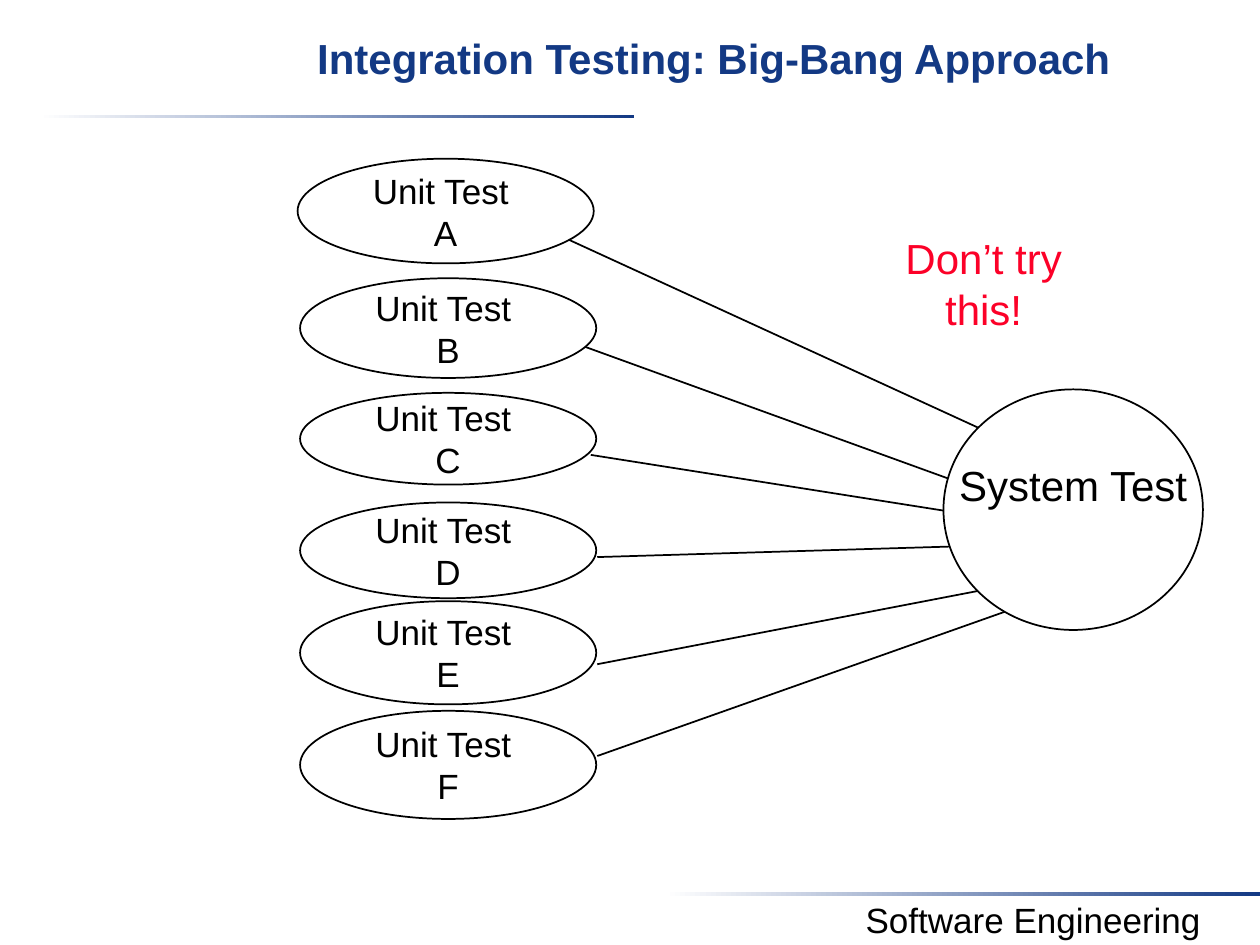
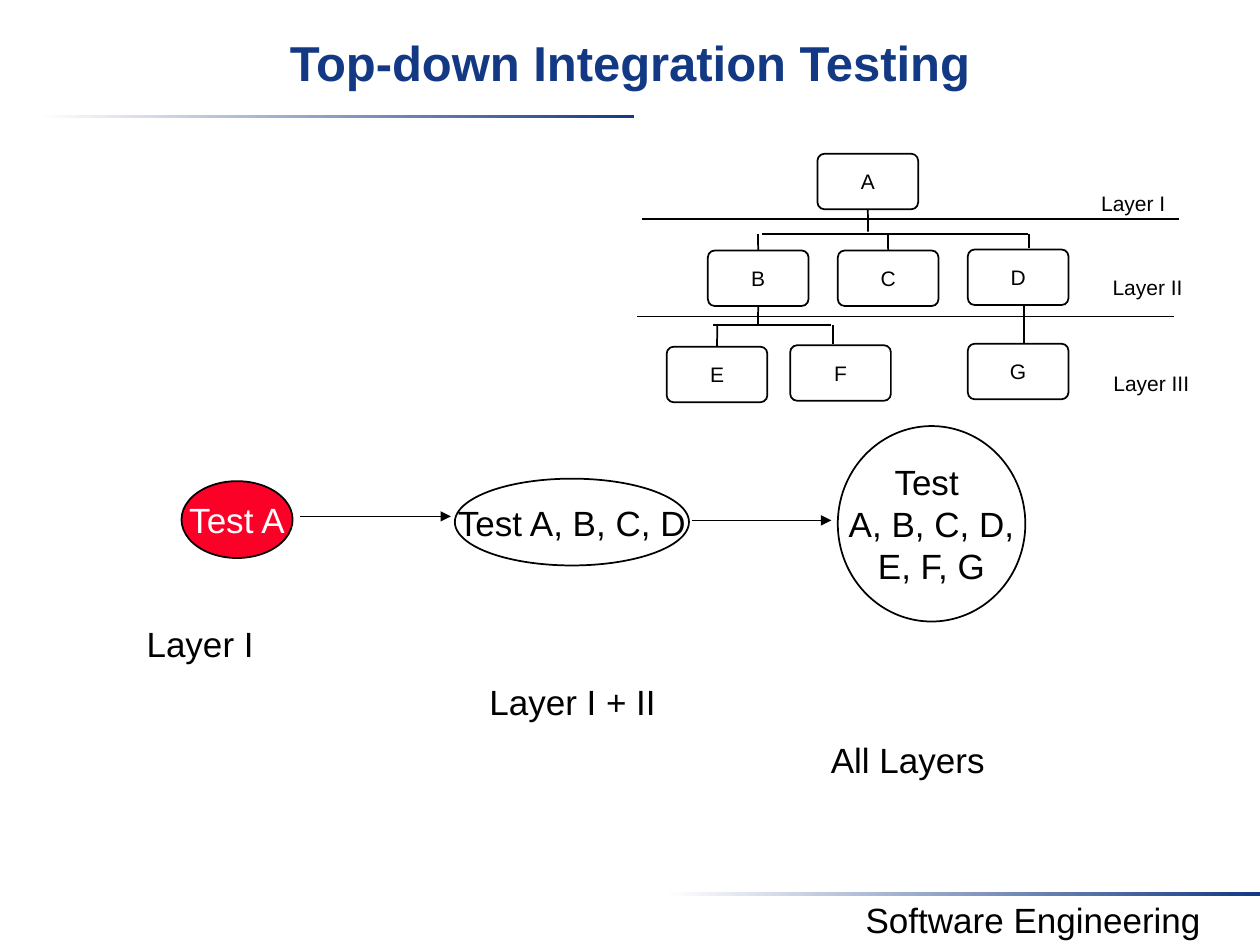
from lxml import etree
from pptx import Presentation
from pptx.dml.color import RGBColor
from pptx.enum.shapes import MSO_CONNECTOR, MSO_SHAPE
from pptx.enum.text import MSO_ANCHOR, PP_ALIGN
from pptx.oxml.ns import qn
from pptx.util import Cm, Pt

NAVY = RGBColor(0x13, 0x39, 0x84)
RED = RGBColor(0xFC, 0x01, 0x28)
BLACK = RGBColor(0, 0, 0)
WHITE = RGBColor(255, 255, 255)
TOP, BOTTOM = 0, 2


class Deck:
    font_name = "Arial"
    line_width = Pt(1)

    def __init__(self):
        self.presentation = Presentation()
        self.presentation.slide_width = Cm(25.4)
        self.presentation.slide_height = Cm(19.05)
        self.slide = None

    def add_slide(self, title, title_left, title_size):
        self.slide = self.presentation.slides.add_slide(self.presentation.slide_layouts[6])
        self.gradient_bar(0.79, 2.31)
        self.gradient_bar(13.41, 17.98)
        self.label("Software Engineering", 16.26, 17.98, 9.14, 1.12)
        self.label(title, title_left, 0.53, 25.4 - title_left, 1.9, title_size, NAVY, bold=True)

    def gradient_bar(self, left, top):
        bar = self.slide.shapes.add_shape(
            MSO_SHAPE.RECTANGLE, Cm(left), Cm(top), Cm(11.99), Cm(0.08))
        bar.shadow.inherit = False
        bar.line.fill.background()
        bar.fill.gradient()
        bar.fill.gradient_angle = 0
        for stop, color in zip(bar.fill.gradient_stops, (WHITE, NAVY)):
            stop.color.rgb = color

    def set_text(self, shape, text, size, color, bold=False, wrap=False):
        frame = shape.text_frame
        frame.text = text
        frame.word_wrap = wrap
        for paragraph in frame.paragraphs:
            paragraph.alignment = PP_ALIGN.CENTER
            paragraph.font.name = self.font_name
            paragraph.font.size = Pt(size)
            paragraph.font.bold = bold
            paragraph.font.color.rgb = color

    def label(self, text, left, top, width, height, size=20, color=BLACK, bold=False, wrap=True):
        box = self.slide.shapes.add_textbox(Cm(left), Cm(top), Cm(width), Cm(height))
        self.set_text(box, text, size, color, bold, wrap)

    def node(self, kind, text, left, top, width, height, size=20, color=BLACK, fill=None):
        shape = self.slide.shapes.add_shape(kind, Cm(left), Cm(top), Cm(width), Cm(height))
        shape.shadow.inherit = False
        if fill is None:
            shape.fill.background()
        else:
            shape.fill.solid()
            shape.fill.fore_color.rgb = fill
        shape.line.color.rgb = BLACK
        shape.line.width = self.line_width
        shape.text_frame.vertical_anchor = MSO_ANCHOR.MIDDLE
        self.set_text(shape, text, size, color)
        return shape

    def ellipse(self, text, *place, **style):
        return self.node(MSO_SHAPE.OVAL, text, *place, **style)

    def module_box(self, text, left, top):
        box = self.node(MSO_SHAPE.ROUNDED_RECTANGLE, text, left, top, 2.03, 1.12, size=12)
        box.adjustments[0] = 0.125
        return box

    def line(self, start, end, arrow=False, begin_at=None, end_at=None):
        connector = self.slide.shapes.add_connector(
            MSO_CONNECTOR.STRAIGHT, *map(Cm, start + end))
        connector.line.color.rgb = BLACK
        connector.line.width = self.line_width
        if begin_at:
            connector.begin_connect(*begin_at)
        if end_at:
            connector.end_connect(*end_at)
        properties = connector._element.spPr
        if arrow:
            etree.SubElement(properties.find(qn("a:ln")), qn("a:tailEnd"), type="triangle")
        etree.SubElement(properties, qn("a:effectLst"))


def big_bang_slide(deck):
    deck.add_slide("Integration Testing: Big-Bang Approach", 3.38, 24)
    unit_tests = [
        ("A", 6.0, 3.2, 2.11, (11.46, 4.83), (20.24, 8.86)),
        ("B", 6.05, 5.61, 2.01, (11.79, 6.99), (19.76, 9.88)),
        ("C", 6.05, 7.92, 1.85, (11.91, 9.17), (19.76, 10.41)),
        ("D", 6.05, 10.13, 1.93, (12.04, 11.23), (19.76, 11.0)),
        ("E", 6.05, 12.12, 2.08, (12.04, 13.39), (19.99, 11.86)),
        ("F", 6.05, 14.33, 2.18, (12.04, 15.24), (20.29, 12.32)),
    ]
    for letter, left, top, height, start, end in unit_tests:
        deck.ellipse(f"Unit Test \n{letter}", left, top, 5.97, height)
        deck.line(start, end)
    system_test = deck.ellipse("System Test", 19.02, 7.85, 5.23, 4.85, size=24, fill=WHITE)
    system_test.text_frame.margin_bottom = Cm(1.14)
    deck.label("Don’t try this!", 17.63, 4.57, 4.4, 2.2, 24, RED)


def top_down_slide(deck):
    deck.add_slide("Top-down Integration Testing", 0, 28)
    places = {
        "A": (16.48, 3.1), "B": (14.27, 5.05), "C": (16.89, 5.05), "D": (19.51, 5.03),
        "G": (19.51, 6.93), "F": (15.93, 6.96), "E": (13.44, 6.99),
    }
    boxes = {letter: deck.module_box(letter, *place) for letter, place in places.items()}

    deck.line((17.5, 4.22), (17.5, 4.67), begin_at=(boxes["A"], BOTTOM))
    deck.line((15.28, 6.17), (15.28, 6.55), begin_at=(boxes["B"], BOTTOM))
    for letter, x, bus, bottom in [("B", 15.28, 4.72, 5.05), ("C", 17.9, 4.72, 5.05),
                                   ("E", 14.46, 6.55, 6.99)]:
        deck.line((x, bus), (x, bottom), end_at=(boxes[letter], TOP))
    for x, top, bottom in [(20.75, 4.72, 5.0), (16.79, 6.55, 6.93), (20.65, 6.17, 6.91)]:
        deck.line((x, top), (x, bottom))
    for left, right, y in [(15.37, 20.73, 4.72), (14.38, 16.76, 6.55),
                           (12.95, 23.77, 4.42), (12.85, 23.67, 6.38)]:
        deck.line((left, y), (right, y))

    for text, left, top, width in [("Layer I", 21.92, 3.71, 1.85),
                                   ("Layer II", 22.12, 5.41, 2.03),
                                   ("Layer III", 22.12, 7.34, 2.18)]:
        deck.label(text, left, top, width, 0.76, 12, wrap=False)

    deck.ellipse("Test A", 3.66, 9.7, 2.24, 1.55, color=WHITE, fill=RED)
    deck.ellipse("Test A, B, C, D", 9.17, 9.65, 4.72, 1.75)
    deck.ellipse("Test \nA, B, C, D,\nE, F, G", 16.89, 8.59, 3.78, 3.94)
    deck.line((6.05, 10.41), (9.09, 10.41), arrow=True)
    deck.line((13.94, 10.49), (16.76, 10.49), arrow=True)

    for text, left, top, width in [("Layer I", 2.69, 12.42, 2.69),
                                   ("Layer I + II", 9.6, 13.59, 3.89),
                                   ("All Layers", 16.46, 14.76, 3.68)]:
        deck.label(text, left, top, width, 1.09, wrap=False)


def main():
    deck = Deck()
    big_bang_slide(deck)
    top_down_slide(deck)
    deck.presentation.save("out.pptx")


if __name__ == "__main__":
    main()
